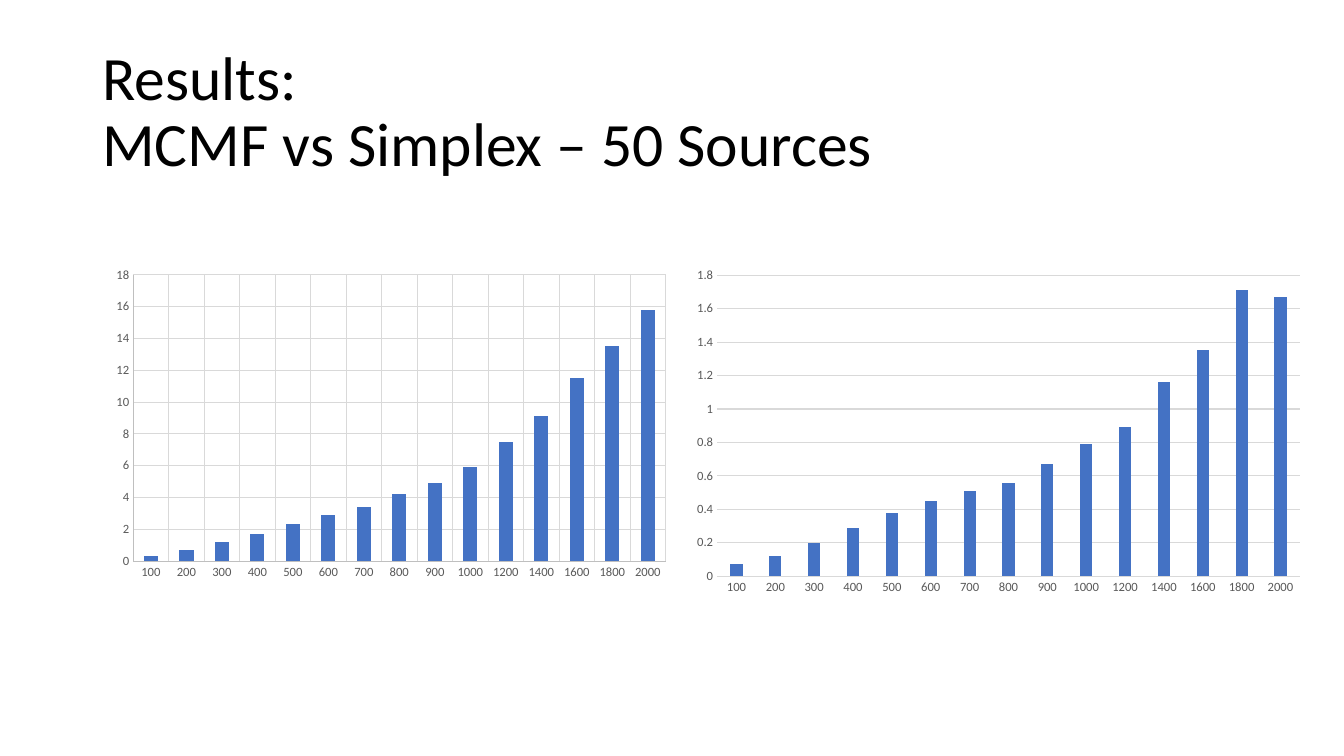
import pptx
import pptx.chart.data
import pptx.dml.color
import pptx.enum.chart
import pptx.enum.text
import pptx.oxml
import pptx.oxml.ns
import pptx.util

Pt = pptx.util.Pt
RGBColor = pptx.dml.color.RGBColor

BLACK = RGBColor(0x00, 0x00, 0x00)
BAR_BLUE = RGBColor(0x44, 0x72, 0xC4)
LABEL_GRAY = RGBColor(0x59, 0x59, 0x59)
AXIS_GRAY = RGBColor(0xBF, 0xBF, 0xBF)
GRID_GRAY = RGBColor(0xD9, 0xD9, 0xD9)
FONT = "Calibri"

SOURCE_SIZES = [*range(100, 1000, 100), *range(1000, 2001, 200)]
MCMF_TIMES = [0.3, 0.7, 1.2, 1.7, 2.3, 2.9, 3.4, 4.2, 4.9, 5.9,
              7.5, 9.1, 11.5, 13.5, 15.8]
SIMPLEX_TIMES = [0.07, 0.12, 0.2, 0.29, 0.38, 0.45, 0.51, 0.56, 0.67, 0.79,
                 0.89, 1.16, 1.35, 1.71, 1.67]


def set_font(font, size, color):
    font.name = FONT
    font.size = Pt(size)
    font.color.rgb = color


def add_text(slide, lines, *, left, top, width, height, size, color, line_spacing):
    box = slide.shapes.add_textbox(Pt(left), Pt(top), Pt(width), Pt(height))
    frame = box.text_frame
    frame.word_wrap = True
    frame.vertical_anchor = pptx.enum.text.MSO_ANCHOR.MIDDLE
    paragraph = frame.paragraphs[0]
    paragraph.line_spacing = line_spacing
    for index, line in enumerate(lines):
        if index:
            paragraph.add_line_break()
        run = paragraph.add_run()
        run.text = line
        set_font(run.font, size, color)


def set_line(line_format, color):
    """Draw a thin line, or none when there is no color."""
    if color is None:
        line_format.fill.background()
    else:
        line_format.color.rgb = color
        line_format.width = Pt(0.75)


def style_axis(axis, line_color, has_grid):
    axis.major_tick_mark = pptx.enum.chart.XL_TICK_MARK.NONE
    axis.minor_tick_mark = pptx.enum.chart.XL_TICK_MARK.NONE
    set_font(axis.tick_labels.font, 9, LABEL_GRAY)
    set_line(axis.format.line, line_color)
    axis.has_major_gridlines = has_grid
    if has_grid:
        set_line(axis.major_gridlines.format.line, GRID_GRAY)


def set_plot_layout(chart, x, y, w, h):
    """Fix the inner plot area as fractions of the chart."""
    plot_area = chart.element.xpath("c:chart/c:plotArea")[0]
    for layout in plot_area.xpath("c:layout"):
        plot_area.remove(layout)
    sizes = "".join(f'<c:{name} val="{value}"/>'
                    for name, value in dict(x=x, y=y, w=w, h=h).items())
    plot_area.insert(0, pptx.oxml.parse_xml(
        f'<c:layout {pptx.oxml.ns.nsdecls("c")}><c:manualLayout>'
        '<c:layoutTarget val="inner"/><c:xMode val="edge"/><c:yMode val="edge"/>'
        f'{sizes}</c:manualLayout></c:layout>'))


def add_column_chart(slide, values, *, left, top, width, height, gap, overlap=0,
                     category_line, value_line, category_grid=False):
    data = pptx.chart.data.CategoryChartData()
    data.categories = [str(size) for size in SOURCE_SIZES]
    data.add_series("Series 1", values)
    chart = slide.shapes.add_chart(
        pptx.enum.chart.XL_CHART_TYPE.COLUMN_CLUSTERED,
        Pt(left), Pt(top), Pt(width), Pt(height), data).chart
    chart.has_title = False
    chart.has_legend = False
    set_font(chart.font, 10, BLACK)
    style_axis(chart.category_axis, category_line, category_grid)
    style_axis(chart.value_axis, value_line, True)

    plot = chart.plots[0]
    plot.vary_by_categories = False
    plot.gap_width = gap
    plot.overlap = overlap
    fill = plot.series[0].format.fill
    fill.solid()
    fill.fore_color.rgb = BAR_BLUE
    return chart


def main():
    presentation = pptx.Presentation()
    presentation.slide_width = Pt(960)
    presentation.slide_height = Pt(540)
    slide = presentation.slides.add_slide(presentation.slide_layouts[6])

    # Title
    add_text(slide, ["Results:", "MCMF vs Simplex – 50 Sources"],
             left=66, top=28.75, width=828, height=104.4,
             size=44, color=BLACK, line_spacing=0.9)

    # MCMF chart
    mcmf_chart = add_column_chart(
        slide, MCMF_TIMES, left=66, top=166.3, width=448.5, height=263.5,
        gap=150, category_line=AXIS_GRAY, value_line=AXIS_GRAY, category_grid=True)
    set_plot_layout(mcmf_chart, 0.065, 0.114, 0.848, 0.776)

    # Simplex chart
    add_column_chart(
        slide, SIMPLEX_TIMES, left=489, top=186.5, width=448.5, height=243.3,
        gap=219, overlap=-27, category_line=GRID_GRAY, value_line=None)

    presentation.save("out.pptx")


if __name__ == "__main__":
    main()
